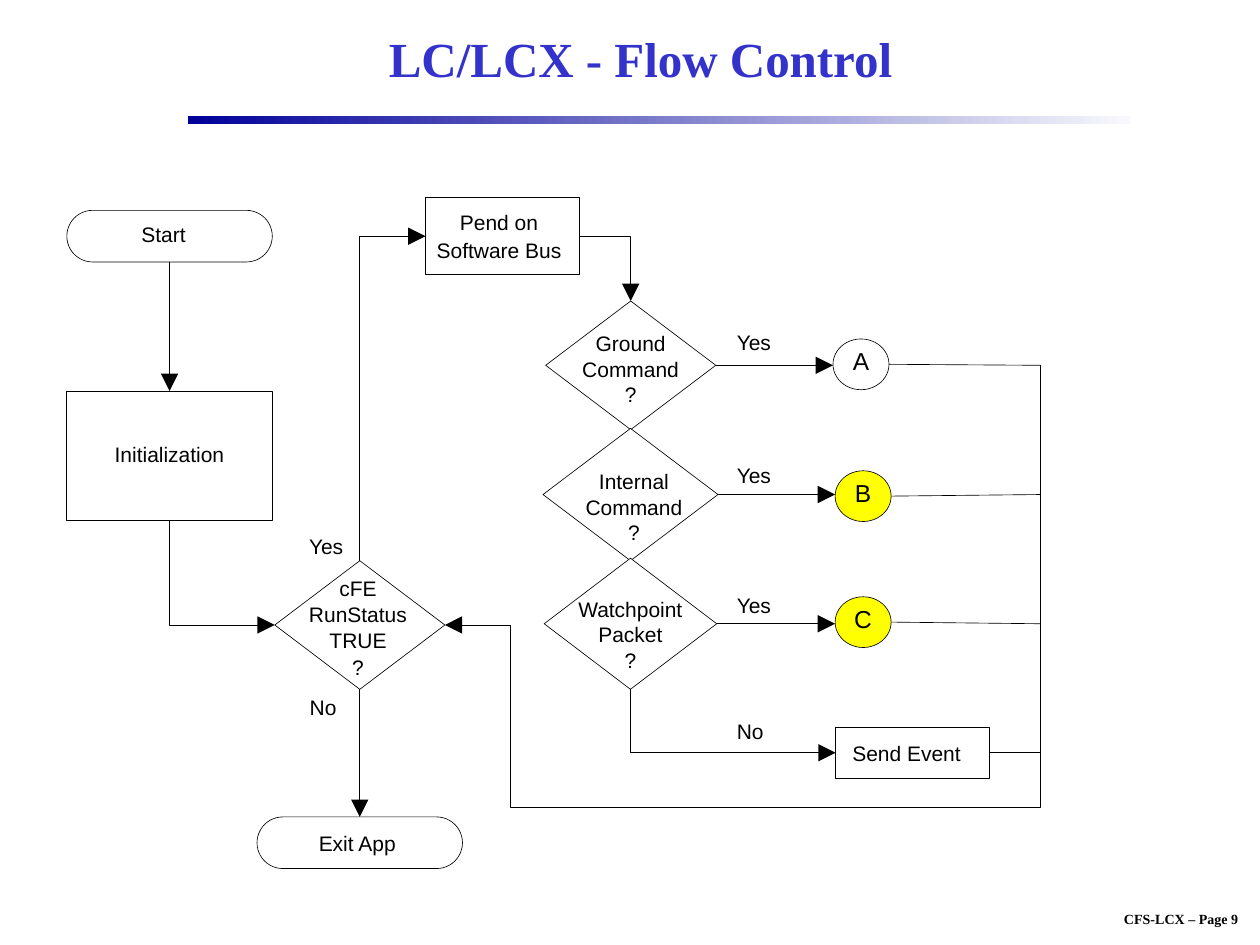
from dataclasses import dataclass
from lxml.etree import SubElement
from pptx import Presentation
from pptx.dml.color import RGBColor
from pptx.enum.shapes import MSO_CONNECTOR, MSO_SHAPE
from pptx.enum.text import MSO_ANCHOR, PP_ALIGN
from pptx.oxml.ns import qn
from pptx.util import Pt

TOP, LEFT, BOTTOM, RIGHT = range(4)


@dataclass(frozen=True)
class Theme:
    """Colours, fonts and sizes of the slide."""
    ink: RGBColor = RGBColor(0, 0, 0)
    paper: RGBColor = RGBColor(255, 255, 255)
    highlight: RGBColor = RGBColor(255, 255, 0)
    title: RGBColor = RGBColor(0x33, 0x33, 0xCC)
    bar_start: RGBColor = RGBColor(0, 0, 0x99)
    bar_end: RGBColor = RGBColor(0xF9, 0xF9, 0xFD)
    serif: str = "Times New Roman"
    sans: str = "Arial"
    title_size: float = 28
    circle_size: float = 14
    label_size: float = 12
    footer_size: float = 8
    line_width: float = 0.37


THEME = Theme()


def write(shape, text, size, font=THEME.sans, color=THEME.ink, bold=False,
          align=PP_ALIGN.CENTER, spacing=None, shift=(0, 0), wrap=False):
    """Set centred text, moved by the given shift from the middle."""
    frame = shape.text_frame
    frame.text = text
    frame.word_wrap = wrap
    frame.vertical_anchor = MSO_ANCHOR.MIDDLE
    across, down = shift
    frame.margin_left, frame.margin_right = Pt(max(2 * across, 0)), Pt(max(-2 * across, 0))
    frame.margin_top, frame.margin_bottom = Pt(max(2 * down, 0)), Pt(max(-2 * down, 0))
    for para in frame.paragraphs:
        para.alignment = align
        if spacing:
            para.line_spacing = Pt(spacing)
        for span in para.runs:
            span.font.name, span.font.size, span.font.bold = font, Pt(size), bold
            span.font.color.rgb = color


def place(box, left, top, width, height):
    """Turn a place inside a box into slide lengths."""
    return Pt(box[0] + left), Pt(box[1] + top), Pt(width), Pt(height)


def add_node(page, box, kind, area, text, fill=THEME.paper, size=THEME.label_size, **style):
    """Add one outlined step of the flow chart."""
    node = page.shapes.add_shape(kind, *place(box, *area))
    node.shadow.inherit = False
    node.fill.solid()
    node.fill.fore_color.rgb = fill
    node.line.color.rgb = THEME.ink
    node.line.width = Pt(THEME.line_width)
    if kind == MSO_SHAPE.ROUNDED_RECTANGLE:
        node.adjustments[0] = 0.5
    write(node, text, size, **style)
    return node


def side(node, index):
    """Return the middle of one side of a node."""
    middle_x, middle_y = node.left + node.width // 2, node.top + node.height // 2
    return ((middle_x, node.top), (node.left, middle_y),
            (middle_x, node.top + node.height), (node.left + node.width, middle_y))[index]


def style_line(line, arrow):
    """Give a line its pen and, if wanted, an arrowhead."""
    line.line.color.rgb = THEME.ink
    line.line.width = Pt(THEME.line_width)
    properties = line._element.spPr
    if arrow:
        SubElement(properties.find(qn("a:ln")), qn("a:tailEnd"), type="triangle", w="lg", len="lg")
    if properties.find(qn("a:effectLst")) is None:
        SubElement(properties, qn("a:effectLst"))


def join(page, start, end, source=None, target=None, arrow=True):
    """Draw a straight line, glued to the (node, side) pairs given."""
    line = page.shapes.add_connector(MSO_CONNECTOR.STRAIGHT, *start, *end)
    if source:
        line.begin_connect(*source)
    if target:
        line.end_connect(*target)
    style_line(line, arrow)


def bend(page, *points):
    """Draw an arrow with corners through the points."""
    builder = page.shapes.build_freeform(*points[0], scale=1.0)
    builder.add_line_segments(points[1:], close=False)
    line = builder.convert_to_shape()
    line.fill.background()
    style_line(line, True)


def draw_header(page, box):
    """Place the title and the fading bar below it."""
    title = page.shapes.title
    title.left, title.top, title.width, title.height = place(box, 0, 0, 516, 54)
    write(title, "LC/LCX - Flow Control", THEME.title_size, THEME.serif, THEME.title, True, wrap=True)
    bar = page.shapes.add_shape(MSO_SHAPE.RECTANGLE, *place(box, -0.7, 60.2, 539.3, 5))
    bar.shadow.inherit = False
    bar.line.fill.background()
    bar.fill.gradient()
    bar.fill.gradient_angle = 0
    for stop, color in zip(bar.fill.gradient_stops, (THEME.bar_start, THEME.bar_end)):
        stop.color.rgb = color


def draw_footer(page, box):
    """Place the page label."""
    label = page.shapes.add_textbox(*place(box, 0, 0, box[2], box[3]))
    write(label, "CFS-LCX – Page 9", THEME.footer_size, THEME.serif, bold=True)


def draw_flow(page, box):
    """Place the steps, decisions, arrows and answers of the chart."""
    pill, block = MSO_SHAPE.ROUNDED_RECTANGLE, MSO_SHAPE.RECTANGLE
    diamond, circle = MSO_SHAPE.DIAMOND, MSO_SHAPE.OVAL
    rail, floor, riser = Pt(box[0] + 558.6), Pt(box[1] + 353.6), Pt(box[0] + 255.4)

    start = add_node(page, box, pill, (2.2, 12.2, 117.4, 29.5), "Start", shift=(-3.4, -1))
    setup = add_node(page, box, block, (2.2, 115.4, 117.4, 74.1), "Initialization", shift=(0, -1))
    pend = add_node(page, box, block, (207.2, 5, 88, 44), "Pend on\nSoftware Bus",
                    spacing=16, shift=(-2, -1))
    status = add_node(page, box, diamond, (121, 212.4, 97.2, 73.5),
                      "cFE\nRunStatus\nTRUE\n?", spacing=15.1, shift=(-1, 1))
    leave = add_node(page, box, pill, (110.9, 358.8, 117.4, 29.5), "Exit App", shift=(-1.4, 0))
    send = add_node(page, box, block, (441.5, 307.4, 88, 29.5), "Send Event", shift=(-3.4, 0))

    branches = (
        ((275.8, 64, 97.2, 73.5), "Ground\nCommand\n?", (0, 2), "A", (440, 85.7), THEME.paper),
        ((274.3, 136.8, 100, 75.6), "Internal\nCommand\n?", (2, 7), "B", (441.2, 161), THEME.highlight),
        ((275, 211, 98.6, 74.9), "Watchpoint\nPacket\n?", (0, 6), "C", (441.2, 233), THEME.highlight),
    )
    decisions = []
    for area, question, shift, letter, corner, fill in branches:
        decision = add_node(page, box, diamond, area, question, spacing=14.5, shift=shift)
        target = add_node(page, box, circle, (*corner, 32, 29), letter, fill,
                          THEME.circle_size, shift=(0, -2))
        exit_point = side(decision, RIGHT)
        join(page, exit_point, (target.left, exit_point[1]), source=(decision, RIGHT))
        join(page, side(target, RIGHT), (rail, exit_point[1]), arrow=False)
        decisions.append(decision)
    ground, _, watchpoint = decisions

    for source, target in ((start, setup), (status, leave)):
        join(page, side(source, BOTTOM), side(target, TOP), (source, BOTTOM), (target, TOP))
    send_exit = side(send, RIGHT)
    join(page, send_exit, (rail, send_exit[1]), source=(send, RIGHT), arrow=False)

    for source, out, target, into in ((setup, BOTTOM, status, LEFT), (status, TOP, pend, LEFT),
                                      (watchpoint, BOTTOM, send, LEFT)):
        first, last = side(source, out), side(target, into)
        bend(page, first, (first[0], last[1]), last)
    first, last = side(pend, RIGHT), side(ground, TOP)
    bend(page, first, (last[0], first[1]), last)
    back = side(status, RIGHT)
    bend(page, (rail, side(ground, RIGHT)[1]), (rail, floor), (riser, floor), (riser, back[1]), back)

    for text, left, top in (("Yes", 140.6, 197), ("No", 141, 289), ("Yes", 385, 80.4),
                            ("Yes", 385, 156.4), ("Yes", 385, 230.7), ("No", 385, 302.7)):
        answer = page.shapes.add_textbox(*place(box, left, top, 26, 14))
        write(answer, text, THEME.label_size, align=PP_ALIGN.LEFT, wrap=True)


def main():
    """Build and save the deck."""
    deck = Presentation()
    deck.slide_width, deck.slide_height = Pt(720), Pt(540)
    page = deck.slides.add_slide(deck.slide_layouts[5])
    draw_header(page, (108, 6, 540, 66))
    draw_flow(page, (36, 108, 562, 392))
    draw_footer(page, (639, 517, 72, 16.6))
    deck.save("out.pptx")


if __name__ == "__main__":
    main()
